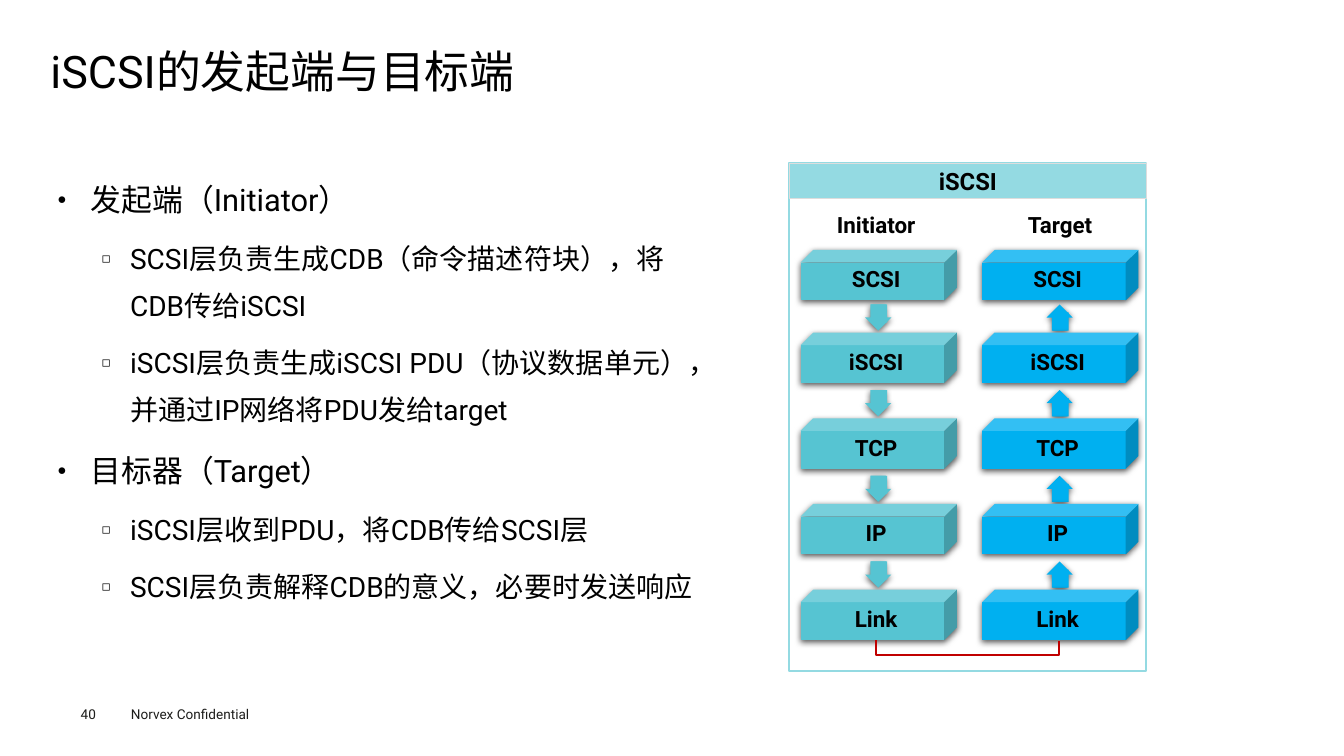
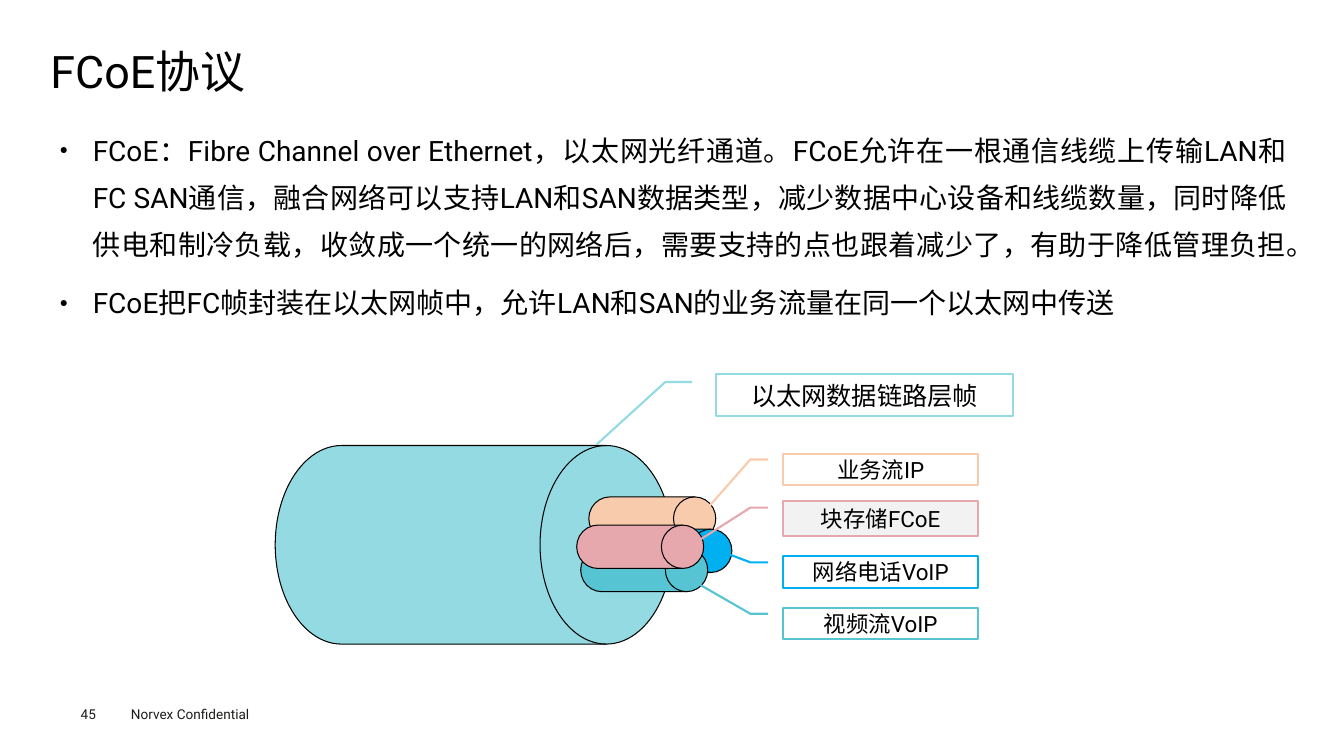
from dataclasses import dataclass
from typing import Any

import lxml.etree
import pptx
import pptx.dml.color
import pptx.enum.shapes
import pptx.enum.text
import pptx.oxml.ns
import pptx.util

PX = 9144
FONT = "Roboto"
COLORS = {
    "ink": "000000",
    "footer": "1D1D1B",
    "pale": "94DAE2",
    "teal": "56C4D2",
    "blue": "00B0F0",
    "peach": "F8CBAD",
    "rose": "E6A8AD",
    "white": "FFFFFF",
    "gray": "F2F2F2",
    "border": "DDDDDD",
    "red": "C00000",
}
SHAPE = pptx.enum.shapes.MSO_SHAPE
ALIGN = pptx.enum.text.PP_ALIGN
ANCHOR = pptx.enum.text.MSO_ANCHOR
qn = pptx.oxml.ns.qn

TIGHT = {"margin_left": 0, "margin_top": 0, "margin_right": 0, "margin_bottom": 0}
TITLE_FRAME = {**TIGHT, "vertical_anchor": ANCHOR.TOP, "word_wrap": True,
               "auto_size": pptx.enum.text.MSO_AUTO_SIZE.NONE}
BODY_FRAME = {**TITLE_FRAME, "margin_left": 9 * PX, "margin_right": 9 * PX,
              "margin_top": 4 * PX, "margin_bottom": 4 * PX}
CENTERED = {"vertical_anchor": ANCHOR.MIDDLE, "word_wrap": True}


@dataclass(frozen=True)
class Box:
    x: int
    y: int
    w: int
    h: int

    def emu(self) -> tuple[int, ...]:
        return tuple(v * PX for v in (self.x, self.y, self.w, self.h))


@dataclass(frozen=True)
class Level:
    bullet: str
    margin: int
    hanging: int
    before: float
    align: Any


@dataclass(frozen=True)
class Item:
    text: str
    size: int
    level: int = 0


@dataclass(frozen=True)
class Stack:
    heading: str
    heading_box: Box
    x: int
    color: str
    rotation: int
    stub_shift: int


@dataclass(frozen=True)
class Drum:
    box: Box
    color: str


@dataclass(frozen=True)
class Callout:
    text: str
    box: Box
    line: str
    tip: tuple[float, float]
    fill: str = "white"
    size: int = 16


LEVELS = (
    Level("●", 33, 33, 7.9, ALIGN.JUSTIFY),
    Level("◻", 72, 28, 7.2, ALIGN.LEFT),
)
LAYERS = (("SCSI", 248), ("iSCSI", 330), ("TCP", 415), ("IP", 500), ("Link", 585))
STACKS = (
    Stack("Initiator", Box(825, 199, 88, 34), 794, "teal", 90, 0),
    Stack("Target", Box(1016, 199, 71, 34), 974, "blue", 270, 8),
)
ISCSI_ITEMS = (
    Item("发起端（Initiator）", 22),
    Item("SCSI层负责生成CDB（命令描述符块），将CDB传给iSCSI", 20, 1),
    Item("iSCSI层负责生成iSCSI PDU（协议数据单元），并通过IP网络将PDU发给target", 20, 1),
    Item("目标器（Target）", 22),
    Item("iSCSI层收到PDU，将CDB传给SCSI层", 20, 1),
    Item("SCSI层负责解释CDB的意义，必要时发送响应", 20, 1),
)
FCOE_ITEMS = (
    Item("FCoE：Fibre Channel over Ethernet，以太网光纤通道。FCoE允许在一根通信线缆上传输LAN"
         "和FC SAN通信，融合网络可以支持LAN和SAN数据类型，减少数据中心设备和线缆数量，"
         "同时降低供电和制冷负载，收敛成一个统一的网络后，需要支持的点也跟着减少了，"
         "有助于降低管理负担。", 20),
    Item("FCoE把FC帧封装在以太网帧中，允许LAN和SAN的业务流量在同一个以太网中传送", 20),
)
DRUMS = (
    Drum(Box(273, 442, 394, 197), "pale"),
    Drum(Box(584, 493, 126, 43), "peach"),
    Drum(Box(600, 525, 126, 43), "blue"),
    Drum(Box(576, 544, 126, 43), "teal"),
    Drum(Box(572, 521, 126, 43), "rose"),
)
CALLOUTS = (
    Callout("以太网数据链路层帧", Box(710, 371, 295, 42), "pale", (1.66, -0.4), size=18),
    Callout("业务流IP", Box(777, 450, 193, 31), "peach", (1.89, -0.41)),
    Callout("块存储FCoE", Box(777, 497, 193, 35), "rose", (1.35, -0.5), "gray"),
    Callout("网络电话VoIP", Box(777, 552, 193, 31), "blue", (-0.14, -0.31)),
    Callout("视频流VoIP", Box(777, 603, 193, 31), "teal", (-0.85, -0.46)),
)


def apply(target: Any, values: dict[str, Any]) -> None:
    for name, value in values.items():
        setattr(target, name, value)


def rgb(color: str) -> Any:
    return pptx.dml.color.RGBColor.from_string(COLORS[color])


def write(paragraph: Any, text: str, size: float, bold: bool = False,
          color: str = "ink", **layout: Any) -> None:
    apply(paragraph, layout)
    run = paragraph.add_run()
    run.text = text
    apply(run.font, {"name": FONT, "size": pptx.util.Pt(size), "bold": bold})
    run.font.color.rgb = rgb(color)
    east_asian = lxml.etree.Element(qn("a:ea"), typeface=FONT)
    run.font._element.find(qn("a:latin")).addnext(east_asian)


def add_label(slide: Any, box: Box, text: str, size: float, frame: dict[str, Any],
              **style: Any) -> None:
    label = slide.shapes.add_textbox(*box.emu())
    apply(label.text_frame, frame)
    write(label.text_frame.paragraphs[0], text, size, **style)


def add_figure(slide: Any, kind: Any, box: Box, fill: str | None = None,
               line: str | None = None, width: float = 0.75) -> Any:
    figure = slide.shapes.add_shape(kind, *box.emu())
    figure.shadow.inherit = False
    if fill:
        figure.fill.solid()
        figure.fill.fore_color.rgb = rgb(fill)
    else:
        figure.fill.background()
    if line:
        figure.line.color.rgb = rgb(line)
        figure.line.width = pptx.util.Pt(width)
    else:
        figure.line.fill.background()
    return figure


def add_shadow(figure: Any) -> None:
    effects = figure._element.spPr.find(qn("a:effectLst"))
    shadow = lxml.etree.SubElement(
        effects, qn("a:outerShdw"), blurRad="57150", dist="19050", dir="5400000",
        algn="t", rotWithShape="0")
    tint = lxml.etree.SubElement(shadow, qn("a:srgbClr"), val=COLORS["ink"])
    lxml.etree.SubElement(tint, qn("a:alpha"), val="63000")


def add_bullet(paragraph: Any, level: Level) -> None:
    properties = paragraph._p.get_or_add_pPr()
    properties.set("marL", str(level.margin * PX))
    properties.set("indent", str(-level.hanging * PX))
    lxml.etree.SubElement(properties, qn("a:buSzPct"), val="50000")
    lxml.etree.SubElement(properties, qn("a:buFont"), typeface="Arial")
    lxml.etree.SubElement(properties, qn("a:buChar"), char=level.bullet)


def place(placeholder: Any, box: Box) -> None:
    apply(placeholder, dict(zip(("left", "top", "width", "height"), box.emu())))


def start_slide(deck: Any, number: str, heading: str, body_box: Box,
                items: tuple[Item, ...]) -> Any:
    slide = deck.slides.add_slide(deck.slide_layouts[1])
    title, body = slide.shapes.title, slide.placeholders[1]
    place(title, Box(50, 49, 1235, 53))
    apply(title.text_frame, TITLE_FRAME)
    write(title.text_frame.paragraphs[0], heading, 32,
          alignment=ALIGN.LEFT, line_spacing=0.9)
    place(body, body_box)
    apply(body.text_frame, BODY_FRAME)
    for index, item in enumerate(items):
        paragraph = body.text_frame.add_paragraph() if index else body.text_frame.paragraphs[0]
        level = LEVELS[item.level]
        add_bullet(paragraph, level)
        write(paragraph, item.text, item.size, level=item.level, alignment=level.align,
              line_spacing=1.4, space_before=pptx.util.Pt(level.before if index else 0))
    add_label(slide, Box(120, 695, 160, 27), "Norvex Confidential", 9.7,
              {"word_wrap": True}, color="footer")
    add_label(slide, Box(80, 700, 55, 16), number, 9.7,
              {**TIGHT, "word_wrap": True}, color="footer")
    return slide


def draw_stack(slide: Any, stack: Stack) -> None:
    add_label(slide, stack.heading_box, stack.heading, 16, {**TIGHT, "word_wrap": False},
              bold=True, alignment=ALIGN.CENTER, line_spacing=1.4)
    for index, (layer, top) in enumerate(LAYERS):
        add_shadow(add_figure(slide, SHAPE.CUBE, Box(stack.x, top, 155, 50), stack.color))
        add_label(slide, Box(stack.x + 8, top + 12, 134, 37), layer, 16,
                  {**CENTERED, **dict.fromkeys(TIGHT, 7 * PX)},
                  bold=True, alignment=ALIGN.CENTER, line_spacing=0.9)
        if index < len(LAYERS) - 1:
            arrow_top = 302 + 85 * index
            arrow = add_figure(slide, SHAPE.RIGHT_ARROW,
                               Box(stack.x + 64, arrow_top, 26, 26), stack.color)
            arrow.rotation = stack.rotation
            arrow.adjustments[0] = 0.6
            add_shadow(arrow)
            add_figure(slide, SHAPE.RECTANGLE,
                       Box(stack.x + 70, arrow_top + stack.stub_shift, 16, 18), stack.color)


def draw_link(slide: Any) -> None:
    link = slide.shapes.add_connector(
        pptx.enum.shapes.MSO_CONNECTOR.ELBOW, 960 * PX, 545 * PX, 959 * PX, 726 * PX)
    link.rotation = 270
    link.line.color.rgb = rgb("red")
    link.line.width = pptx.util.Pt(1.5)
    properties = link._element.spPr
    guides = properties.find(qn("a:prstGeom")).get_or_add_avLst()
    lxml.etree.SubElement(guides, qn("a:gd"), name="adj1", fmla="val 1500000")
    lxml.etree.SubElement(properties, qn("a:effectLst"))


def build_iscsi(deck: Any) -> None:
    slide = start_slide(deck, "40", "iSCSI的发起端与目标端", Box(48, 161, 650, 480), ISCSI_ITEMS)
    panel = add_figure(slide, SHAPE.ROUNDED_RECTANGLE, Box(783, 162, 354, 504),
                       line="pale", width=1.5)
    panel.adjustments[0] = 0
    banner = add_figure(slide, SHAPE.RECTANGLE, Box(783, 162, 354, 35), "pale", "border")
    apply(banner.text_frame, CENTERED)
    write(banner.text_frame.paragraphs[0], "iSCSI", 17, True, alignment=ALIGN.CENTER)
    for stack in STACKS:
        draw_stack(slide, stack)
    draw_link(slide)


def build_fcoe(deck: Any) -> None:
    slide = start_slide(deck, "45", "FCoE协议", Box(50, 115, 1235, 534), FCOE_ITEMS)
    for drum in DRUMS:
        add_figure(slide, SHAPE.FLOWCHART_DIRECT_ACCESS_STORAGE, drum.box, drum.color, "ink")
    for callout in CALLOUTS:
        note = add_figure(slide, SHAPE.LINE_CALLOUT_2, callout.box, callout.fill,
                          callout.line, 1.5)
        for index, value in enumerate((0.19, -0.08, 0.19, -0.17, *callout.tip)):
            note.adjustments[index] = value
        apply(note.text_frame, CENTERED)
        write(note.text_frame.paragraphs[0], callout.text, callout.size,
              alignment=ALIGN.CENTER)


def main() -> None:
    deck = pptx.Presentation()
    apply(deck, {"slide_width": 1333 * PX, "slide_height": 750 * PX})
    build_iscsi(deck)
    build_fcoe(deck)
    deck.save("out.pptx")


if __name__ == "__main__":
    main()
